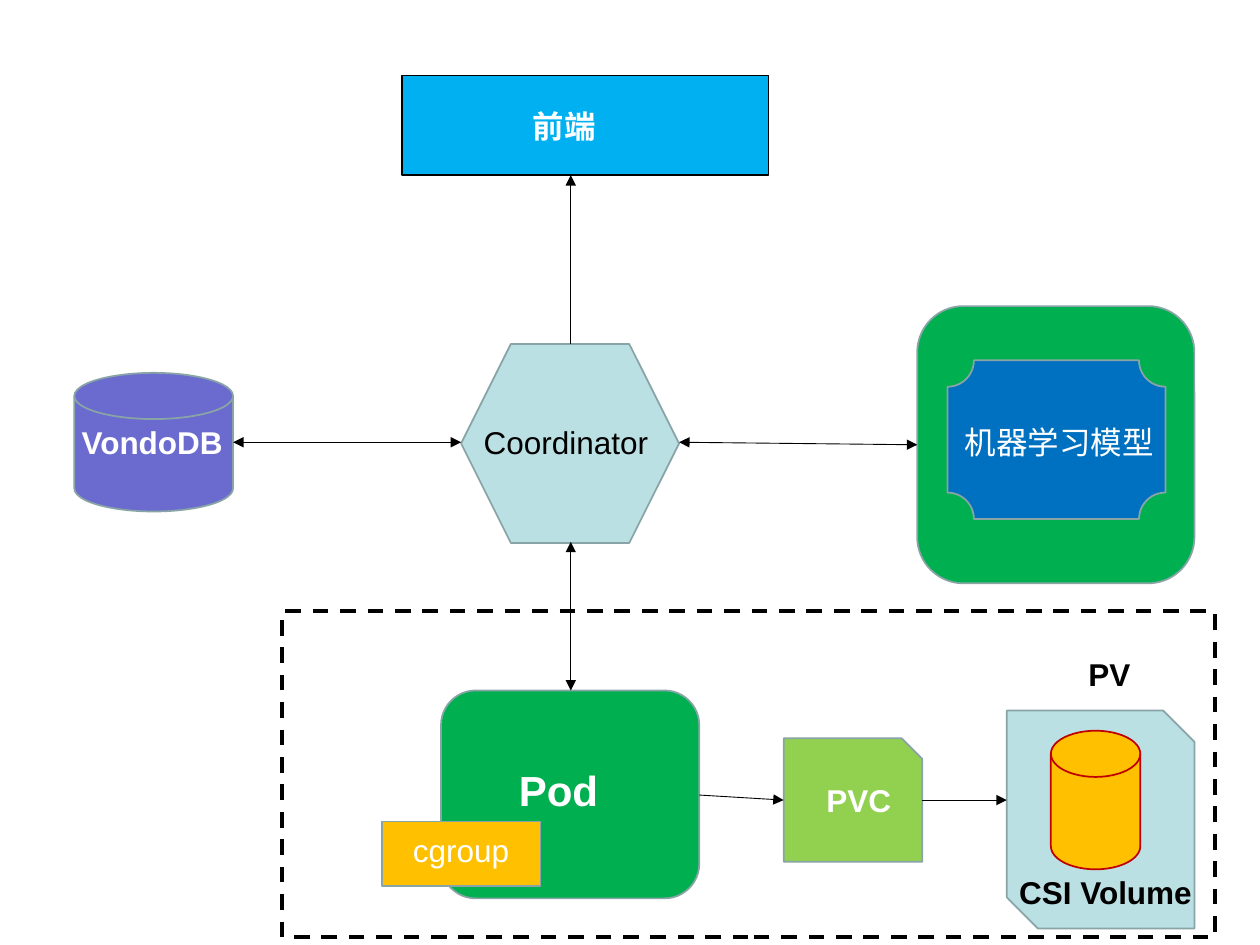
from dataclasses import dataclass
from typing import Optional

from lxml import etree
from pptx import Presentation
from pptx import util as u
from pptx.dml.color import RGBColor
from pptx.enum import dml, shapes, text
from pptx.oxml import ns

PX = 9144  # EMU in one px, at 100 px to the inch
KIND = shapes.MSO_SHAPE


@dataclass(frozen=True)
class Theme:
    font: str = "Arial"
    body: float = 18
    large: float = 24
    thin: float = 0.5
    normal: float = 1
    thick: float = 2.25
    black: str = "000000"
    white: str = "FFFFFF"
    outline: str = "89A4A7"
    green: str = "00B050"
    lime: str = "92D050"
    pale: str = "BBE0E3"
    sky: str = "00B0F0"
    blue: str = "0070C0"
    violet: str = "6B6BCF"
    amber: str = "FFC000"
    red: str = "C00000"


THEME = Theme()


@dataclass(frozen=True)
class Node:
    kind: KIND
    left: int
    top: int
    width: int
    height: int
    fill: Optional[str]
    line: str = THEME.outline
    weight: float = THEME.normal
    dashed: bool = False


@dataclass(frozen=True)
class Link:
    start: tuple[int, int]
    end: tuple[int, int]
    both_ways: bool = False


@dataclass(frozen=True)
class Label:
    words: str
    left: int
    top: int
    width: int
    color: str = THEME.white
    size: float = THEME.body
    bold: bool = True
    centered: bool = False
    height: int = 40


NODES = [
    # Services around the coordinator
    Node(KIND.ROUNDED_RECTANGLE, 728, 243, 220, 220, THEME.green),
    Node(KIND.PLAQUE, 752, 286, 173, 126, THEME.blue),
    Node(KIND.HEXAGON, 366, 273, 173, 158, THEME.pale),
    Node(KIND.RECTANGLE, 319, 60, 291, 79, THEME.sky, THEME.black),
    Node(KIND.FLOWCHART_MAGNETIC_DISK, 59, 296, 126, 110, THEME.violet),
    # Pod and its storage
    Node(KIND.ROUNDED_RECTANGLE, 350, 548, 205, 165, THEME.green),
    Node(KIND.RECTANGLE, 303, 652, 126, 51, THEME.amber),
    Node(KIND.SNIP_1_RECTANGLE, 622, 586, 110, 98, THEME.lime),
    Node(KIND.SNIP_2_DIAG_RECTANGLE, 799, 564, 149, 173, THEME.pale),
    Node(KIND.FLOWCHART_MAGNETIC_DISK, 834, 580, 71, 110, THEME.amber, THEME.red),
    # Cluster frame
    Node(KIND.RECTANGLE, 224, 485, 740, 259, None, THEME.black, THEME.thick, True),
]

LINKS = [
    Link((453, 273), (453, 139)),
    Link((185, 351), (366, 351), both_ways=True),
    Link((539, 351), (728, 353), both_ways=True),
    Link((453, 430), (453, 548), both_ways=True),
    Link((555, 631), (622, 635)),
    Link((732, 635), (799, 635)),
]

LABELS = [
    Label("前端", 413, 80, 87),
    Label("Coordinator", 374, 331, 157, THEME.black, bold=False),
    Label("VondoDB", 55, 331, 146),
    Label("机器学习模型", 756, 331, 173, bold=False),
    Label("Pod", 402, 602, 110, size=THEME.large, height=50),
    Label("cgroup", 303, 655, 126, bold=False, centered=True),
    Label("PVC", 646, 615, 87),
    Label("PV", 854, 515, 94, THEME.black),
    Label("CSI Volume", 799, 688, 165, THEME.black),
]


def emu(*lengths: int) -> list[u.Emu]:
    return [u.Emu(length * PX) for length in lengths]


def draw_node(page, node: Node) -> None:
    shape = page.shapes.add_shape(
        node.kind, *emu(node.left, node.top, node.width, node.height))
    shape.shadow.inherit = False
    if node.fill:
        shape.fill.solid()
        shape.fill.fore_color.rgb = RGBColor.from_string(node.fill)
    else:
        shape.fill.background()
    shape.line.color.rgb = RGBColor.from_string(node.line)
    shape.line.width = u.Pt(node.weight)
    if node.dashed:
        shape.line.dash_style = dml.MSO_LINE.DASH


def draw_link(page, link: Link) -> None:
    connector = page.shapes.add_connector(
        shapes.MSO_CONNECTOR.STRAIGHT, *emu(*link.start, *link.end))
    connector.line.color.rgb = RGBColor.from_string(THEME.black)
    connector.line.width = u.Pt(THEME.thin)
    # Arrowheads, and no shadow
    stroke = connector.line._get_or_add_ln()
    for end in ("headEnd", "tailEnd") if link.both_ways else ("tailEnd",):
        etree.SubElement(stroke, ns.qn(f"a:{end}"), type="triangle")
    etree.SubElement(connector._element.spPr, ns.qn("a:effectLst"))


def write(para, words: str, *, color: str, size: float, bold: bool) -> None:
    span = para.add_run()
    span.text = words
    span.font.name = THEME.font
    span.font.size = u.Pt(size)
    span.font.bold = bold
    span.font.color.rgb = RGBColor.from_string(color)


def draw_label(page, label: Label) -> None:
    box = page.shapes.add_textbox(
        *emu(label.left, label.top, label.width, label.height))
    frame = box.text_frame
    frame.word_wrap = True
    frame.auto_size = text.MSO_AUTO_SIZE.SHAPE_TO_FIT_TEXT
    para = frame.paragraphs[0]
    para.alignment = text.PP_ALIGN.CENTER if label.centered else text.PP_ALIGN.LEFT
    write(para, label.words, color=label.color, size=label.size, bold=label.bold)


def main() -> None:
    deck = Presentation()
    deck.slide_width, deck.slide_height = emu(1000, 750)
    page = deck.slides.add_slide(deck.slide_layouts[6])
    for node in NODES:
        draw_node(page, node)
    for link in LINKS:
        draw_link(page, link)
    for label in LABELS:
        draw_label(page, label)
    deck.save("out.pptx")


if __name__ == "__main__":
    main()
